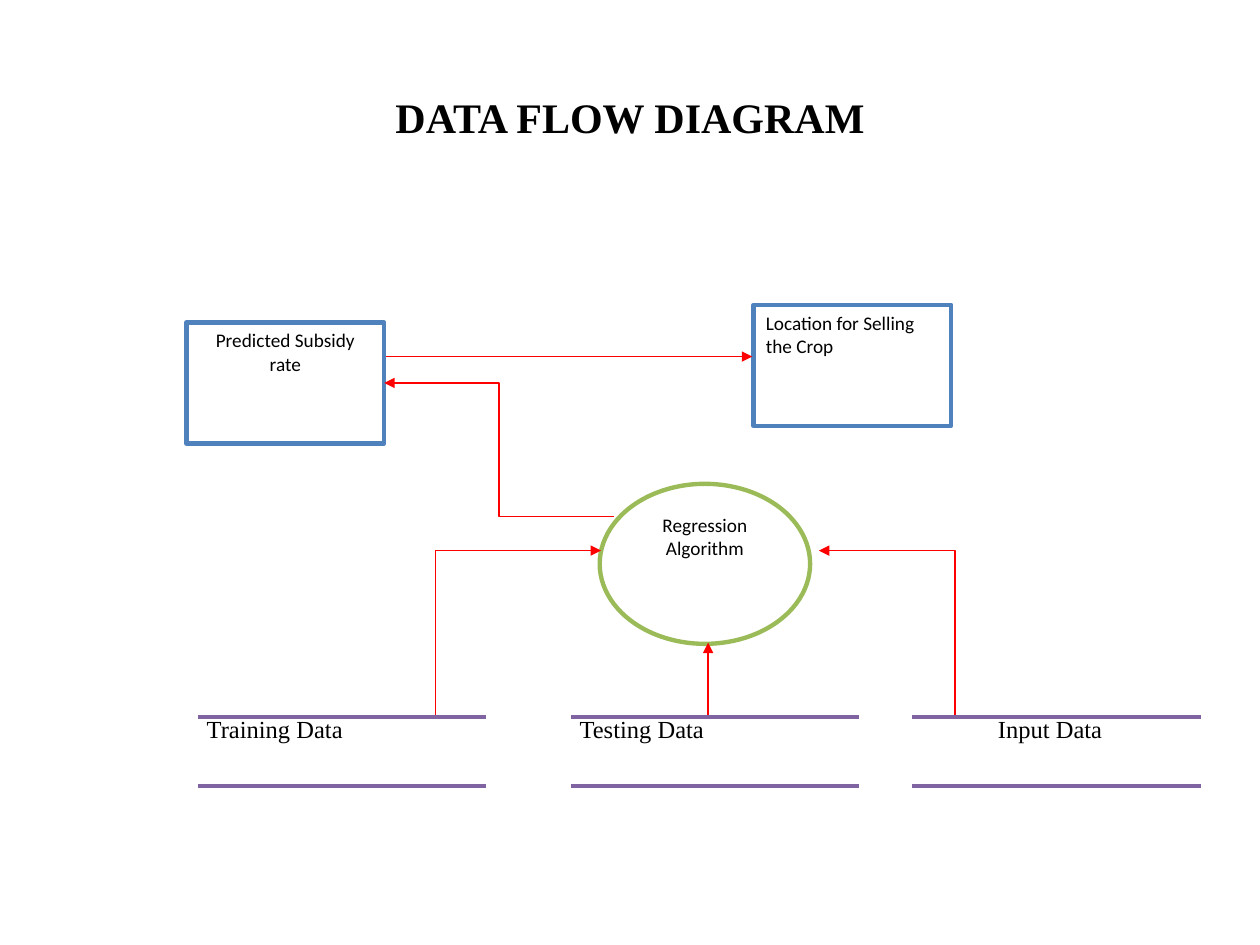
"""Build a data flow diagram slide for a crop subsidy prediction system."""
from pptx import Presentation
from pptx import util as u
from pptx.dml.color import RGBColor
from pptx.enum import shapes, text
from pptx.oxml.ns import qn
from lxml import etree

COLORS = {"ink": "000000", "paper": "FFFFFF", "box": "4F81BD",
          "process": "9BBB59", "store": "8064A2", "flow": "FF0000"}
SERIF, SANS = "Times New Roman", "Calibri"
LEFT, CENTER = text.PP_ALIGN.LEFT, text.PP_ALIGN.CENTER
STRAIGHT, ELBOW = shapes.MSO_CONNECTOR.STRAIGHT, shapes.MSO_CONNECTOR.ELBOW

prs = Presentation()
prs.slide_width, prs.slide_height = u.Inches(10), u.Inches(7.5)
col, row = prs.slide_width / 100, prs.slide_height / 75
s = prs.slides.add_slide(prs.slide_layouts[5])


def write(tf, words, size, name, align, bold=False):
    tf.word_wrap = True
    p = tf.paragraphs[0]
    p.text, p.alignment = words, align
    p.font.size, p.font.name, p.font.bold = u.Pt(size), name, bold
    p.font.color.rgb = RGBColor.from_string(COLORS["ink"])
    return p


def connect(kind, x1, y1, x2, y2, color, width, arrow=False):
    c = s.shapes.add_connector(kind, *(round(v) for v in (x1 * col, y1 * row, x2 * col, y2 * row)))
    c.line.color.rgb = RGBColor.from_string(COLORS[color])
    c.line.width = u.Pt(width)
    if arrow:
        etree.SubElement(c.line._get_or_add_ln(), qn("a:tailEnd"), type="triangle")
    etree.SubElement(c._element.spPr, qn("a:effectLst"))
    return c


title = s.shapes.title
title.left, title.top = round(5 * col), round(3 * row)
title.width, title.height = round(90 * col), round(12.5 * row)
title.text_frame.vertical_anchor = text.MSO_ANCHOR.MIDDLE
write(title.text_frame, "DATA FLOW DIAGRAM", 24, SERIF, CENTER, bold=True)

RECT, CIRCLE = shapes.MSO_SHAPE.RECTANGLE, shapes.MSO_SHAPE.FLOWCHART_CONNECTOR
nodes = {}
for words, kind, x, y, w, h, color, align in [
    ("Regression Algorithm", CIRCLE, 47.6, 38.4, 16.7, 12.7, "process", CENTER),
    ("Predicted Subsidy rate", RECT, 14.8, 25.6, 15.7, 9.6, "box", CENTER),
    ("Location for Selling the Crop", RECT, 59.8, 24.2, 15.7, 9.6, "box", LEFT),
]:
    sp = s.shapes.add_shape(kind, round(x * col), round(y * row), round(w * col), round(h * row))
    sp.shadow.inherit = False
    sp.fill.solid()
    sp.fill.fore_color.rgb = RGBColor.from_string(COLORS["paper"])
    sp.line.color.rgb = RGBColor.from_string(COLORS[color])
    sp.line.width = u.Pt(2.5)
    sp.text_frame.vertical_anchor = text.MSO_ANCHOR.TOP
    write(sp.text_frame, words, 11, SANS, align).space_after = u.Pt(10)
    nodes[words] = sp

STORE_TOP, STORE_BOTTOM, STORE_WIDTH = 56.9, 62.4, 22.9
FLOW_Y = 43.7
for kind, x1, y1, x2, y2 in [
    (STRAIGHT, 56.2, STORE_TOP, 56.2, 51),
    (ELBOW, 21.4, STORE_TOP, 47.7, FLOW_Y),
    (ELBOW, 86.6, STORE_TOP, 65, FLOW_Y),
    (STRAIGHT, 30.6, 28.3, 59.7, 28.3),
]:
    connect(kind, x1, y1, x2, y2, "flow", 0.75, arrow=True)
result = connect(ELBOW, 48.7, 41, 30.6, 30.6, "flow", 0.75, arrow=True)
result.end_connect(nodes["Predicted Subsidy rate"], 3)

for words, x, indent in [("Training Data", 15.7, 0.7), ("Testing Data", 45.3, 0.7),
                         ("Input Data", 72.4, 6.8)]:
    for y in (STORE_TOP, STORE_BOTTOM):
        connect(STRAIGHT, x, y, x + STORE_WIDTH, y, "store", 2.5)
    label = s.shapes.add_textbox(round((x + indent) * col), round((STORE_TOP - 0.2) * row),
                                 round((STORE_WIDTH - indent) * col), round(2.4 * row))
    tf = label.text_frame
    tf.margin_left = tf.margin_right = tf.margin_top = tf.margin_bottom = 0
    write(tf, words, 14, SERIF, LEFT)

prs.save("out.pptx")
